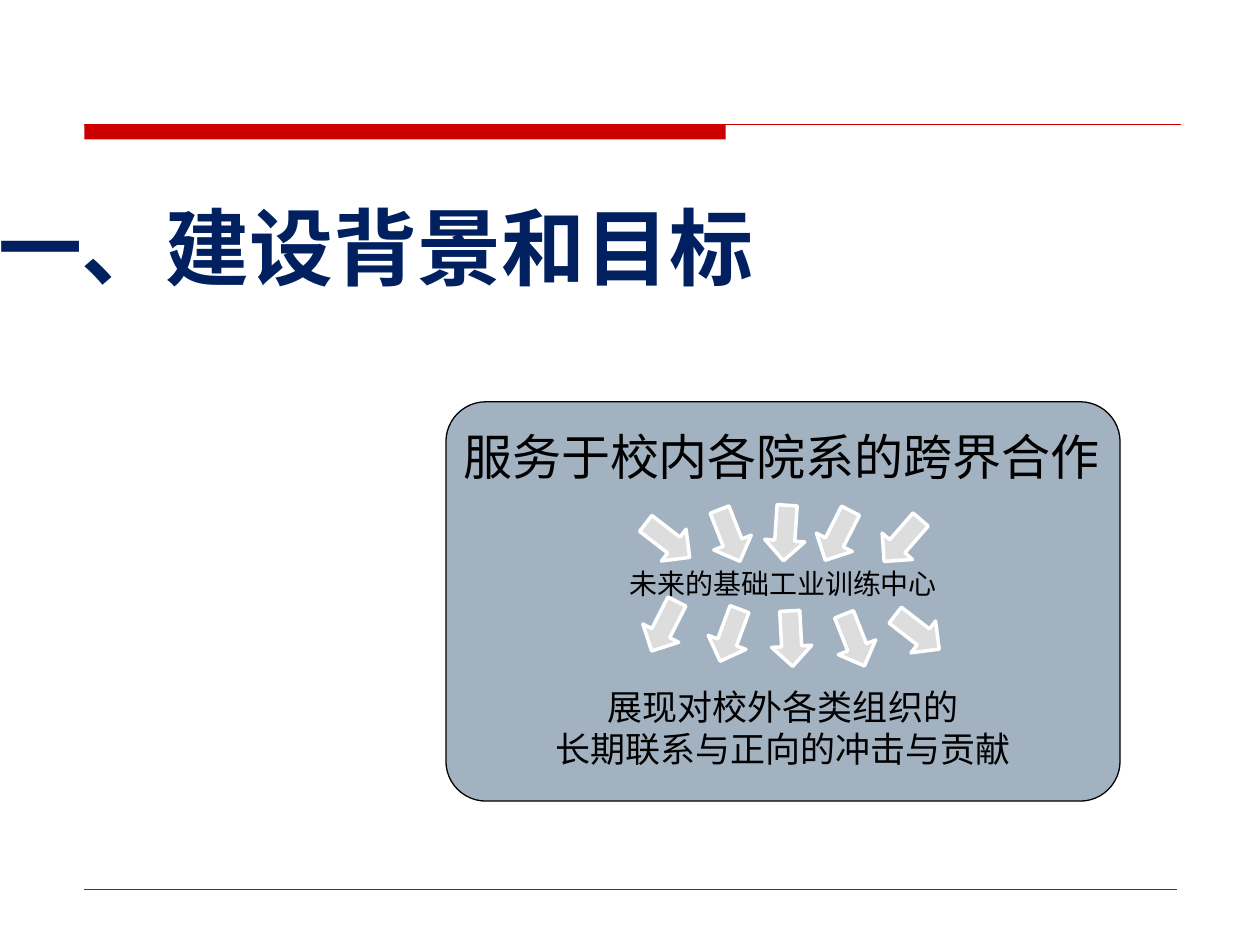
from dataclasses import dataclass

from lxml.etree import SubElement
from pptx import Presentation
from pptx.dml.color import RGBColor
from pptx.enum.shapes import MSO_CONNECTOR as Link, MSO_SHAPE as Shape
from pptx.enum.text import MSO_ANCHOR as Anchor, MSO_AUTO_SIZE as AutoSize, PP_ALIGN as Align
from pptx.oxml.ns import qn
from pptx.util import Cm, Pt

HEADING = "一、建设背景和目标"
HEADING_BOX = (-1.22, 3.81, 17.6, 2.29)
CARD_BOX = (8.99, 8.1, 13.59, 8.05)
STATEMENTS = [
    ("未来的基础工业训练中心", (12.45, 11.3, 8.26, 0.94), "center", Align.LEFT),
    ("服务于校内各院系的跨界合作", (9.09, 8.48, 13.49, 1.45), "service", Align.LEFT),
    ("展现对校外各类组织的\n长期联系与正向的冲击与贡献", (8.99, 13.69, 13.59, 1.96), "impact", Align.CENTER),
]
INWARD_ARROWS = [
    (12.9, 10.49, 37.7), (14.15, 10.39, 68.4), (15.27, 10.34, 93.8),
    (16.33, 10.39, 117), (17.63, 10.49, 131),
]
OUTWARD_ARROWS = [
    (12.83, 12.22, 117), (14.15, 12.4, 110.4), (15.39, 12.47, 86.9),
    (16.66, 12.5, 68.4), (17.93, 12.34, 37.7),
]
ARROW_SIZE = (1.12, 0.81)
HEADER_BAR = (1.7, 2.51, 12.93, 0.3)
RULES = [(1.7, 23.8, 2.51, 0.75), (1.7, 23.72, 17.93, 0.25)]


@dataclass(frozen=True)
class Theme:
    red: str = "CC0000"
    navy: str = "002060"
    card: str = "A3B2C1"
    arrow: str = "DDDDDD"
    white: str = "FFFFFF"
    black: str = "000000"
    heading_font: str = "DejaVu Sans"
    body_font: str = "Noto Sans CJK SC"
    heading: int = 48
    service: int = 28
    impact: int = 20
    center: int = 16


theme = Theme()


def color(code):
    return RGBColor.from_string(code)


def lengths(box):
    return [Cm(value) for value in box]


def format_text(frame, size, font, ink, align, bold=False):
    for paragraph in frame.paragraphs:
        paragraph.alignment = align
        for run in paragraph.runs:
            run.font.size = Pt(size)
            run.font.name = font
            run.font.bold = bold
            run.font.color.rgb = color(ink)
            SubElement(run._r.get_or_add_rPr(), qn("a:ea")).set("typeface", theme.body_font)


def add_filled(shapes, preset, box, fill, line, width):
    part = shapes.add_shape(preset, *lengths(box))
    part.shadow.inherit = False
    part.fill.solid()
    part.fill.fore_color.rgb = color(fill)
    part.line.color.rgb = color(line)
    part.line.width = Pt(width)
    return part


def add_rule(shapes, left, right, y, width):
    rule = shapes.add_connector(Link.STRAIGHT, Cm(left), Cm(y), Cm(right), Cm(y))
    rule.line.color.rgb = color(theme.red)
    rule.line.width = Pt(width)
    SubElement(rule._element.spPr, qn("a:effectLst"))


def add_heading(slide):
    title = slide.shapes.title
    title.left, title.top, title.width, title.height = lengths(HEADING_BOX)
    frame = title.text_frame
    frame.text = HEADING
    frame.auto_size = AutoSize.NONE
    frame.vertical_anchor = Anchor.BOTTOM
    format_text(frame, theme.heading, theme.heading_font, theme.navy, Align.CENTER, True)


def add_diagram(slide):
    diagram = slide.shapes.add_group_shape().shapes
    card = add_filled(diagram, Shape.ROUNDED_RECTANGLE, CARD_BOX, theme.card, theme.black, 0.75)
    card.adjustments[0] = 0.1

    for statement, box, role, align in STATEMENTS:
        frame = diagram.add_textbox(*lengths(box)).text_frame
        frame.word_wrap = True
        frame.auto_size = AutoSize.SHAPE_TO_FIT_TEXT
        frame.text = statement
        format_text(frame, getattr(theme, role), theme.body_font, theme.black, align)

    for left, top, angle in INWARD_ARROWS + OUTWARD_ARROWS:
        arrow = add_filled(diagram, Shape.RIGHT_ARROW, (left, top, *ARROW_SIZE), theme.arrow, theme.white, 2)
        arrow.rotation = angle


def main():
    deck = Presentation()
    deck.slide_width, deck.slide_height = Cm(25.4), Cm(19.05)
    slide = deck.slides.add_slide(deck.slide_layouts.get_by_name("Title Only"))
    bar = add_filled(slide.shapes, Shape.RECTANGLE, HEADER_BAR, theme.red, theme.red, 0.75)
    bar.line.fill.background()
    for rule in RULES:
        add_rule(slide.shapes, *rule)
    add_heading(slide)
    add_diagram(slide)
    deck.save("out.pptx")


if __name__ == "__main__":
    main()
